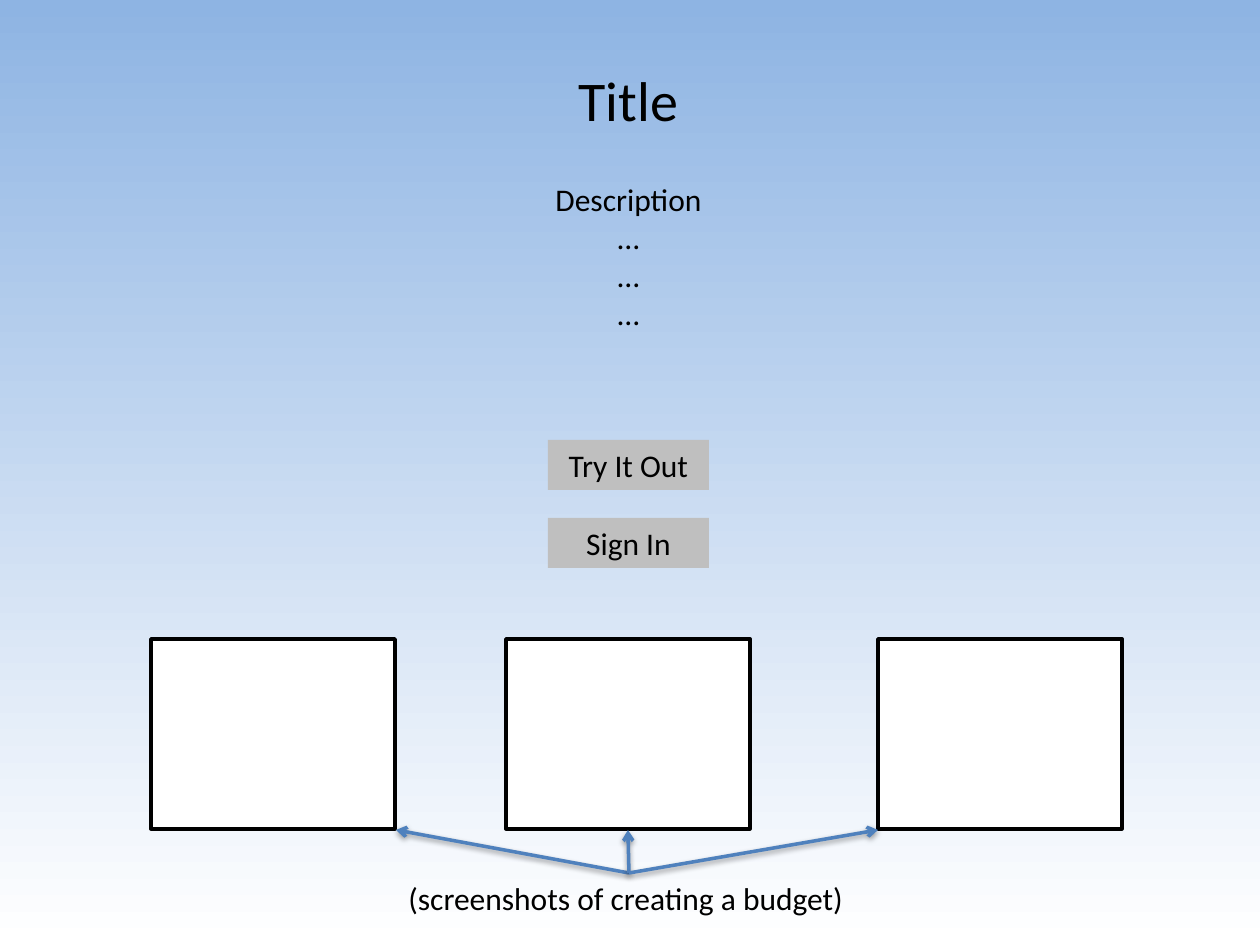
from lxml import etree
from pptx import Presentation
from pptx.dml.color import RGBColor
from pptx.enum.shapes import MSO_CONNECTOR, MSO_SHAPE
from pptx.enum.text import MSO_ANCHOR, PP_ALIGN
from pptx.oxml import parse_xml
from pptx.oxml.ns import nsdecls, qn
from pptx.util import Pt

RECT = MSO_SHAPE.RECTANGLE
LINE = MSO_CONNECTOR.STRAIGHT
CENTER, LEFT = PP_ALIGN.CENTER, PP_ALIGN.LEFT
TOP = MSO_ANCHOR.TOP
SCALE = 914400 / 126
COLORS = {"sky": "8EB4E3", "white": "FFFFFF", "black": "000000",
          "gray": "BFBFBF", "blue": "4F81BD"}


def emu(*sizes):
    return [round(size * SCALE) for size in sizes]


def write(shape, text, size=18, align=CENTER, color="black"):
    frame = shape.text_frame
    frame.word_wrap = True
    frame.vertical_anchor = TOP
    for i, words in enumerate(text.split("\n")):
        para = frame.paragraphs[0] if i == 0 else frame.add_paragraph()
        para.alignment = align
        run = para.add_run()
        run.text = words
        run.font.name = "Calibri"
        run.font.size = Pt(size)
        run.font.color.rgb = RGBColor.from_string(COLORS[color])


deck = Presentation()
deck.slide_width, deck.slide_height = emu(1260, 945)
slide = deck.slides.add_slide(deck.slide_layouts[6])
shapes = slide.shapes

back = slide.background.fill
back.gradient()
back.gradient_angle = 270
for stop, name in zip(back.gradient_stops, ("sky", "white")):
    stop.color.rgb = RGBColor.from_string(COLORS[name])

labels = [
    ("Title", (449, 59, 359, 81), 32, CENTER),
    ("Description\n…\n…\n…", (449, 174, 359, 165), 18, CENTER),
    ("(screenshots of creating a budget)", (396, 873, 467, 50), 18, LEFT),
]
for text, area, size, align in labels:
    write(shapes.add_textbox(*emu(*area)), text, size=size, align=align)

for i, text in enumerate(("Try It Out", "Sign In")):
    button = shapes.add_shape(RECT, *emu(548, 440 + 78 * i, 161, 50))
    button.shadow.inherit = False
    button.fill.solid()
    button.fill.fore_color.rgb = RGBColor.from_string(COLORS["gray"])
    button.line.fill.background()
    write(button, text)

for left in (151, 506, 878):
    frame = shapes.add_shape(RECT, *emu(left, 639, 244, 190))
    frame.shadow.inherit = False
    frame.fill.solid()
    frame.fill.fore_color.rgb = RGBColor.from_string(COLORS["white"])
    frame.line.color.rgb = RGBColor.from_string(COLORS["black"])
    frame.line.width = Pt(2)

SHADOW = f"""<a:effectLst {nsdecls("a")}>
  <a:outerShdw blurRad="40000" dist="20000" dir="5400000" rotWithShape="0">
    <a:srgbClr val="{COLORS["black"]}"><a:alpha val="38000"/></a:srgbClr>
  </a:outerShdw>
</a:effectLst>"""
for end in (396, 628, 878):
    arrow = shapes.add_connector(LINE, *emu(629, 873, end, 830))
    arrow.line.color.rgb = RGBColor.from_string(COLORS["blue"])
    arrow.line.width = Pt(2)
    props = arrow._element.spPr
    etree.SubElement(props.find(qn("a:ln")), qn("a:tailEnd"), type="arrow")
    props.append(parse_xml(SHADOW))

deck.save("out.pptx")
